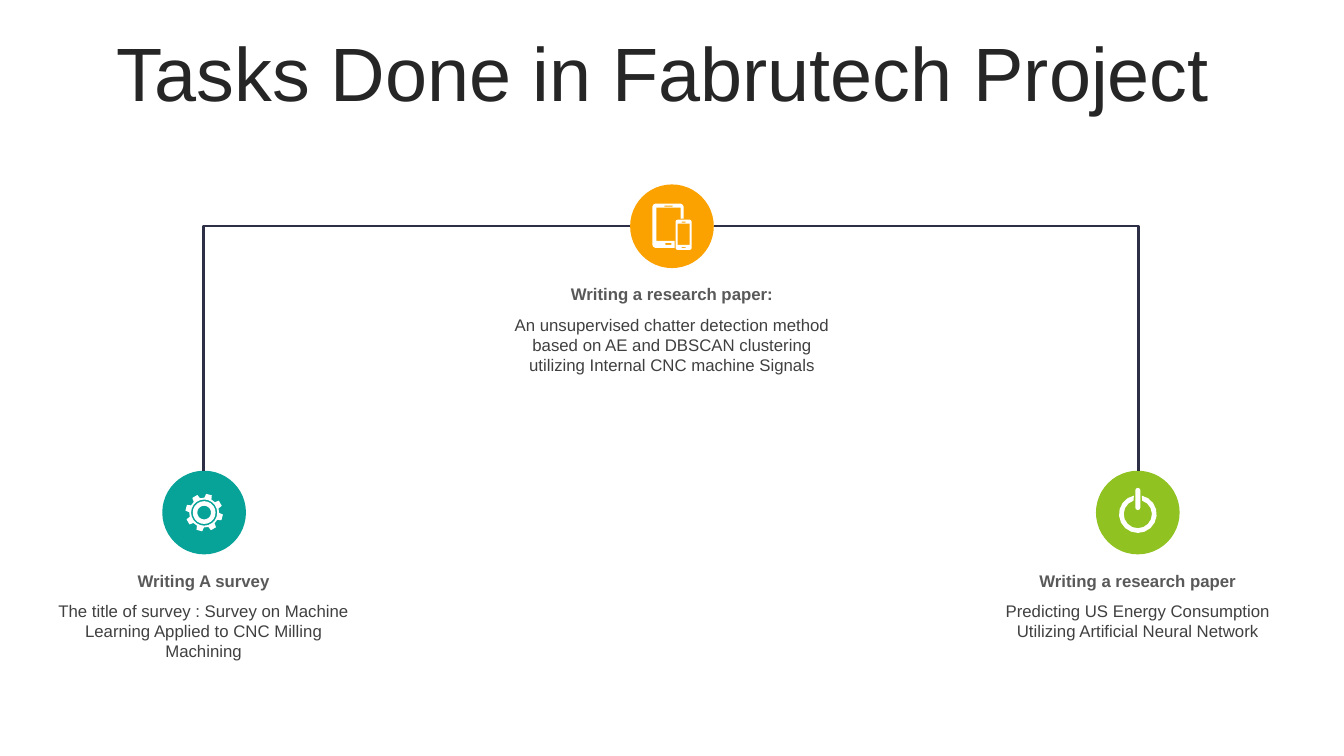
from dataclasses import dataclass
from math import cos, radians, sin

from lxml.etree import SubElement
from pptx import Presentation
from pptx.dml.color import RGBColor
from pptx.enum.shapes import MSO_CONNECTOR as Conn, MSO_SHAPE as Shape
from pptx.enum.text import MSO_ANCHOR as Anchor, PP_ALIGN as Align
from pptx.oxml.ns import qn
from pptx.util import Emu, Pt

PX = 9144
FONT = "Arial"
TITLE = RGBColor(0x26, 0x26, 0x26)
HEADING = RGBColor(0x59, 0x59, 0x59)
BODY = RGBColor(0x40, 0x40, 0x40)
LINE = RGBColor(0x2C, 0x2F, 0x45)
WHITE = RGBColor(0xFF, 0xFF, 0xFF)
TEAL = RGBColor(0x07, 0xA3, 0x98)
GREEN = RGBColor(0x90, 0xC2, 0x21)
ORANGE = RGBColor(0xFB, 0xA2, 0x00)

DISC = 83
HEADING_GAP = 94
BODY_GAP = 124

Point = tuple[float, float]
Contour = list[Point]


@dataclass(frozen=True)
class Task:
    disc_left: int
    disc_top: int
    color: RGBColor
    text_left: int
    text_width: int
    body_height: int
    heading: str
    body: str
    icon: list[Contour]


def px(n: float) -> Emu:
    return Emu(round(n * PX))


def polar(cx: float, cy: float, radius: float, degrees: float) -> Point:
    a = radians(degrees)
    return cx + radius * sin(a), cy - radius * cos(a)


def arc(cx: float, cy: float, radius: float, start: int, end: int, steps: int) -> Contour:
    return [polar(cx, cy, radius, start + (end - start) * i / steps) for i in range(steps + 1)]


def rect(x: float, y: float, w: float, h: float) -> Contour:
    return [(x, y), (x + w, y), (x + w, y + h), (x, y + h)]


def round_rect(x: float, y: float, w: float, h: float, r: float) -> Contour:
    corners = [(x + w - r, y + r), (x + w - r, y + h - r), (x + r, y + h - r), (x + r, y + r)]
    return [p for i, (cx, cy) in enumerate(corners)
            for p in arc(cx, cy, r, 90 * i, 90 * i + 90, 2)]


def gear(cx: float, cy: float) -> list[Contour]:
    profile = [(-14, 14.8), (-9, 18.7), (9, 18.7), (14, 14.8)]
    teeth = [polar(cx, cy, r, 15 + 45 * i + a) for i in range(8) for a, r in profile]
    return [teeth] + [arc(cx, cy, r, 0, 342, 19) for r in (13, 11.3, 6.8)]


def power(cx: float, cy: float) -> list[Contour]:
    ring = arc(cx, cy, 18.7, 12, 348, 16) + arc(cx, cy, 14, 342, 18, 14)
    return [ring, round_rect(cx - 2.5, cy - 26, 5, 22, 2.4)]


def devices(x: float, y: float) -> list[Contour]:
    tablet = [(0, 3), (1, 1), (3, 0), (28, 0), (30, 1), (31, 3), (31, 15), (28, 15), (28, 4),
              (4, 4), (4, 37), (22, 37), (22, 44), (3, 44), (1, 43), (0, 41)]
    holes = [(25, 20, 12, 21), (29, 18, 4, 1), (29, 43, 4, 1), (13, 39, 6, 2), (12, 2, 8, 1)]
    return [[(x + dx, y + dy) for dx, dy in tablet], round_rect(x + 23, y + 16, 16, 30, 2)] + [
        rect(x + dx, y + dy, w, h) for dx, dy, w, h in holes]


def add_text(s, left: int, top: int, width: int, height: int, text: str,
             size: int, color: RGBColor, bold: bool = False):
    tf = s.shapes.add_textbox(px(left), px(top), px(width), px(height)).text_frame
    tf.word_wrap = True
    tf.text = text
    p = tf.paragraphs[0]
    p.alignment = Align.CENTER
    r = p.runs[0]
    r.font.name, r.font.size, r.font.bold = FONT, Pt(size), bold
    r.font.color.rgb = color
    return tf


def paint(sp, color: RGBColor) -> None:
    sp.shadow.inherit = False
    sp.fill.solid()
    sp.fill.fore_color.rgb = color
    sp.line.fill.background()


def add_icon(s, contours: list[Contour]) -> None:
    outlines = [[(px(x), px(y)) for x, y in c] for c in contours]
    builder = s.shapes.build_freeform(*outlines[0][0])
    for i, points in enumerate(outlines):
        if i:
            builder.move_to(*points[0])
        builder.add_line_segments(points[1:], close=True)
    paint(builder.convert_to_shape(), WHITE)


def add_task(s, task: Task) -> None:
    paint(s.shapes.add_shape(Shape.OVAL, px(task.disc_left), px(task.disc_top),
                             px(DISC), px(DISC)), task.color)
    add_icon(s, task.icon)
    add_text(s, task.text_left, task.disc_top + HEADING_GAP, task.text_width, 30,
             task.heading, 12, HEADING, True)
    add_text(s, task.text_left, task.disc_top + BODY_GAP, task.text_width, task.body_height,
             task.body, 12, BODY)


def add_branch(s, x1: int, y1: int, x2: int, y2: int) -> None:
    sp = s.shapes.add_connector(Conn.ELBOW, px(x1), px(y1), px(x2), px(y2))
    sp.line.color.rgb = LINE
    sp.line.width = Pt(1.75)
    sp_pr = sp._element.spPr
    sp_pr.find(qn("a:prstGeom")).set("prst", "bentConnector2")
    SubElement(sp_pr, qn("a:effectLst"))


TASKS = [
    Task(161, 467, TEAL, 47, 310, 76, "Writing A survey",
         "The title of survey : Survey on Machine Learning Applied to CNC Milling Machining",
         gear(202.5, 508.5)),
    Task(1087, 467, GREEN, 975, 307, 75, "Writing a research paper",
         "Predicting US Energy Consumption Utilizing Artificial Neural Network",
         power(1128.5, 510)),
    Task(625, 183, ORANGE, 494, 345, 68, "Writing a research paper:",
         "An unsupervised chatter detection method based on AE and DBSCAN clustering "
         "utilizing Internal CNC machine Signals",
         devices(647, 202)),
]


def main() -> None:
    prs = Presentation()
    prs.slide_width, prs.slide_height = px(1333), px(750)
    s = prs.slides.add_slide(prs.slide_layouts[6])
    tf = add_text(s, 35, 37, 1266, 79, "Tasks Done in Fabrutech Project ", 54, TITLE)
    tf.vertical_anchor = Anchor.MIDDLE
    tf.paragraphs[0].line_spacing = 0.9
    tf.paragraphs[0].space_before = Pt(10)
    for task in TASKS:
        add_task(s, task)
    add_branch(s, 708, 224, 1129, 467)
    add_branch(s, 625, 224, 202, 467)
    prs.save("out.pptx")


if __name__ == "__main__":
    main()
